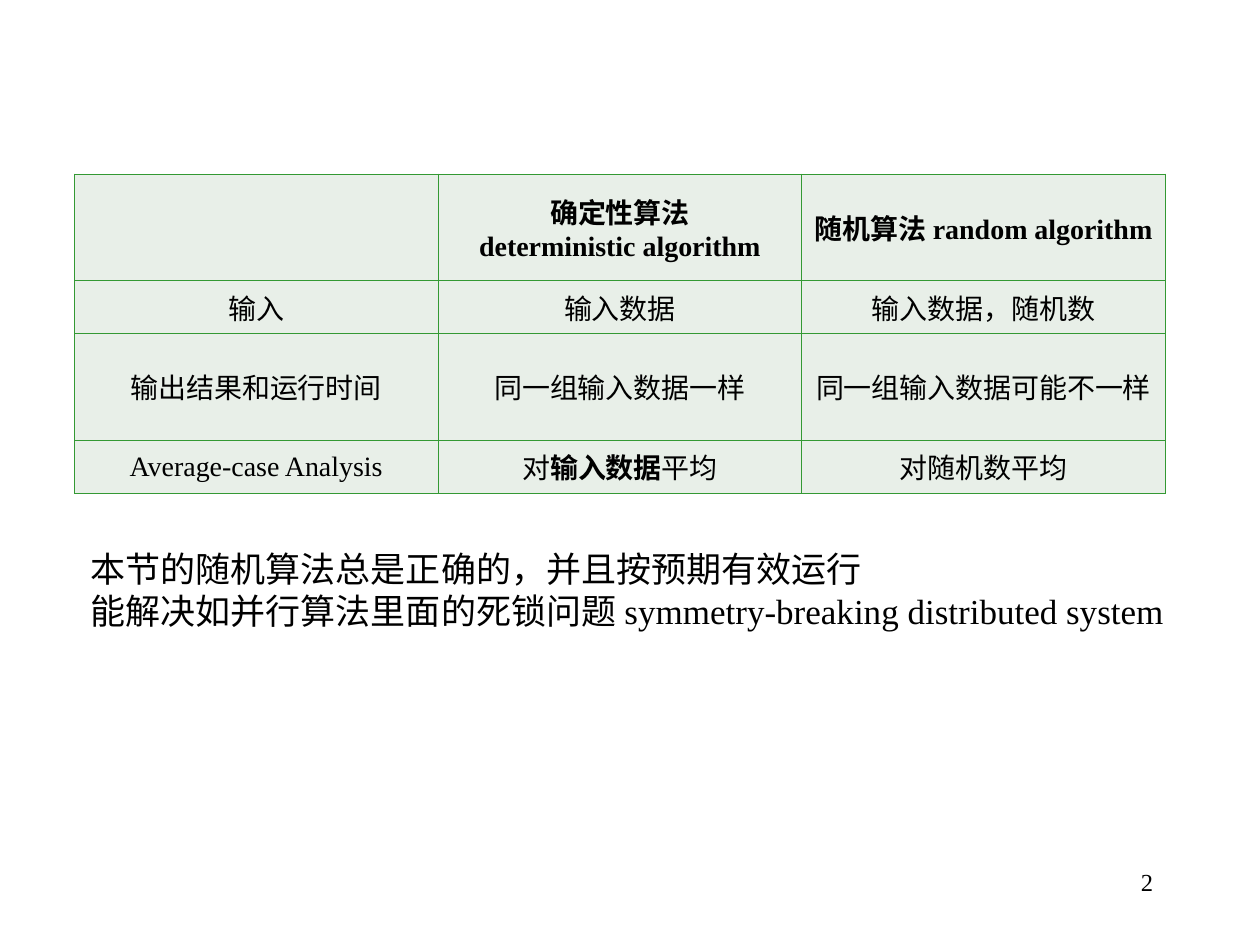
from lxml import etree
from pptx import Presentation, util as u
from pptx.dml.color import RGBColor
from pptx.enum import text
from pptx.oxml.ns import qn

COLORS = {"text": "000000", "cell": "E8EFE8", "border": "339933"}
FONT = "Times New Roman"
W, H = u.Inches(10), u.Inches(7.5)
ROW_UNITS = (2, 1, 2, 1)
CELLS = [
    ["", "确定性算法\ndeterministic algorithm", "随机算法 random algorithm"],
    ["输入", "输入数据", "输入数据，随机数"],
    ["输出结果和运行时间", "同一组输入数据一样", "同一组输入数据可能不一样"],
    ["Average-case Analysis", "对*输入数据*平均", "对随机数平均"],
]
NOTES = "本节的随机算法总是正确的，并且按预期有效运行\n能解决如并行算法里面的死锁问题 symmetry-breaking distributed system"


def share(x, y, w, h):
    """Turn shares of the slide's size into a box."""
    return int(x * W), int(y * H), int(w * W), int(h * H)


def write(tf, content, size, align, bold=False):
    """Write one paragraph a line, with bold parts between asterisks."""
    for i, line in enumerate(content.split("\n")):
        p = tf.add_paragraph() if i else tf.paragraphs[0]
        p.alignment = align
        p.font.size = u.Pt(size)
        for j, part in enumerate(line.split("*")):
            if part:
                r = p.add_run()
                r.text = part
                r.font.name, r.font.size = FONT, u.Pt(size)
                r.font.bold = bold or j % 2 == 1
                r.font.color.rgb = RGBColor.from_string(COLORS["text"])


def add_borders(cell):
    """Draw a thin line on all four sides of a cell."""
    tc_pr = cell._tc.get_or_add_tcPr()
    for i, side in enumerate(("lnL", "lnR", "lnT", "lnB")):
        ln = etree.Element(qn("a:" + side), w=str(u.Pt(0.45)))
        fill = etree.SubElement(ln, qn("a:solidFill"))
        etree.SubElement(fill, qn("a:srgbClr"), val=COLORS["border"])
        tc_pr.insert(i, ln)


def add_comparison(s, box):
    """Place the table that compares the two kinds of algorithm."""
    table = s.shapes.add_table(len(CELLS), len(CELLS[0]), *box).table
    for row, units in zip(table.rows, ROW_UNITS):
        row.height = box[3] * units // sum(ROW_UNITS)
    for i, row in enumerate(CELLS):
        for j, content in enumerate(row):
            cell = table.cell(i, j)
            cell.fill.solid()
            cell.fill.fore_color.rgb = RGBColor.from_string(COLORS["cell"])
            cell.margin_left = cell.margin_right = u.Inches(0.01)
            cell.vertical_anchor = text.MSO_ANCHOR.MIDDLE
            write(cell.text_frame, content, 16, text.PP_ALIGN.CENTER, i == 0)
            add_borders(cell)


def add_text(s, box, content, size, align):
    """Place a wrapped block of text."""
    tf = s.shapes.add_textbox(*box).text_frame
    tf.word_wrap = True
    write(tf, content, size, align)


def main():
    """Build the slide and save it."""
    prs = Presentation()
    prs.slide_width, prs.slide_height = W, H
    s = prs.slides.add_slide(prs.slide_layouts[6])
    add_text(s, share(0.717, 0.911, 0.208, 0.067), "2", 14, text.PP_ALIGN.RIGHT)
    add_text(s, share(0.062, 0.573, 0.89, 0.103), NOTES, 20, text.PP_ALIGN.LEFT)
    add_comparison(s, share(0.059, 0.184, 0.866, 0.338))
    prs.save("out.pptx")


if __name__ == "__main__":
    main()
